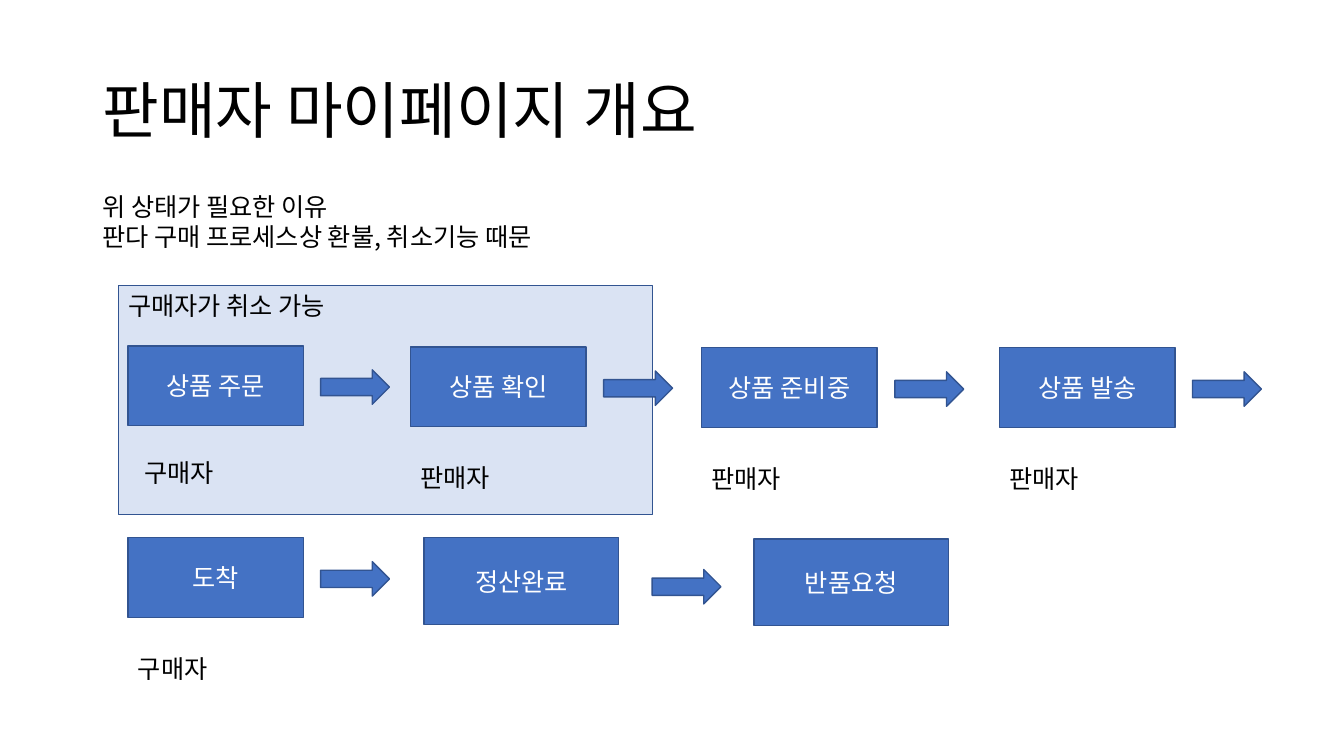
from lxml import etree
from pptx import Presentation
from pptx.dml.color import RGBColor
from pptx.enum.shapes import MSO_SHAPE as SHAPE
from pptx.enum.text import MSO_ANCHOR as ANCHOR, MSO_AUTO_SIZE as FIT, PP_ALIGN as ALIGN
from pptx.oxml.ns import qn
from pptx.util import Pt

FONT = "Noto Sans CJK KR"
BLUE, PALE, EDGE = "4472C4", "DAE3F3", "325491"

prs = Presentation()
prs.slide_width, prs.slide_height = Pt(960), Pt(540)
s = prs.slides.add_slide(prs.slide_layouts[5])


def write(sp, text, size=18, color="000000", align=ALIGN.LEFT,
          anchor=ANCHOR.TOP, spacing=None, fit=FIT.NONE):
    tf = sp.text_frame
    tf.word_wrap, tf.auto_size, tf.vertical_anchor = True, fit, anchor
    for i, line in enumerate(text.split("\n")):
        p = tf.paragraphs[0] if i == 0 else tf.add_paragraph()
        p.alignment, p.line_spacing = align, spacing
        r = p.add_run()
        r.text = line
        r.font.size, r.font.name = Pt(size), FONT
        r.font.color.rgb = RGBColor.from_string(color)
        ea = etree.SubElement(r.font._element, qn("a:ea"))  # Korean glyphs
        ea.set("typeface", FONT)


def add_block(kind, x, y, w, h, fill=BLUE):
    sp = s.shapes.add_shape(kind, Pt(x), Pt(y), Pt(w), Pt(h))
    sp.shadow.inherit = False
    sp.fill.solid()
    sp.fill.fore_color.rgb = RGBColor.from_string(fill)
    sp.line.color.rgb = RGBColor.from_string(EDGE)
    sp.line.width = Pt(1)
    return sp


# Title
title = s.shapes.title
title.left, title.top, title.width, title.height = Pt(66), Pt(28.8), Pt(828), Pt(104.4)
write(title, "판매자 마이페이지 개요", size=44, anchor=ANCHOR.MIDDLE, spacing=0.9)

# Area where the buyer can cancel
add_block(SHAPE.RECTANGLE, 84.6, 204, 381.6, 163.4, PALE)

# Process steps: label, left, top, width, height
steps = [
    ("상품 주문", 91.4, 247, 125.4, 57),
    ("상품 확인", 293.2, 247.8, 125.4, 57),
    ("상품 준비중", 501.2, 248.4, 125.4, 57),
    ("상품 발송", 714, 248.4, 125.4, 57),
    ("도착", 91.4, 384, 125.4, 57),
    ("정산완료", 303, 384, 139, 62),
    ("반품요청", 538.6, 385, 139, 62),
]
for label, *box in steps:
    sp = add_block(SHAPE.RECTANGLE, *box)
    write(sp, label, color="FFFFFF", align=ALIGN.CENTER, anchor=ANCHOR.MIDDLE)

# Arrows between the steps
arrows = [(229, 264.2), (431.2, 265), (639.2, 265.6), (851.8, 265.6),
          (229, 401.2), (465.8, 406.8)]
for x, y in arrows:
    add_block(SHAPE.RIGHT_ARROW, x, y, 49.2, 24.6)

# Explanation, area caption and the person behind each step
notes = [
    ("위 상태가 필요한 이유\n판다 구매 프로세스상 환불, 취소기능 때문", 66, 133.2, 376, 51),
    ("구매자가 취소 가능", 84.6, 204, 202, 29),
    ("구매자", 95.8, 323.2, 121, 29),
    ("판매자", 293.2, 327, 121, 29),
    ("판매자", 501.2, 327.6, 121, 29),
    ("판매자", 714, 327.6, 121, 29),
    ("구매자", 91.4, 463, 121, 29),
]
for text, *box in notes:
    write(s.shapes.add_textbox(*map(Pt, box)), text, fit=FIT.SHAPE_TO_FIT_TEXT)

prs.save("out.pptx")
